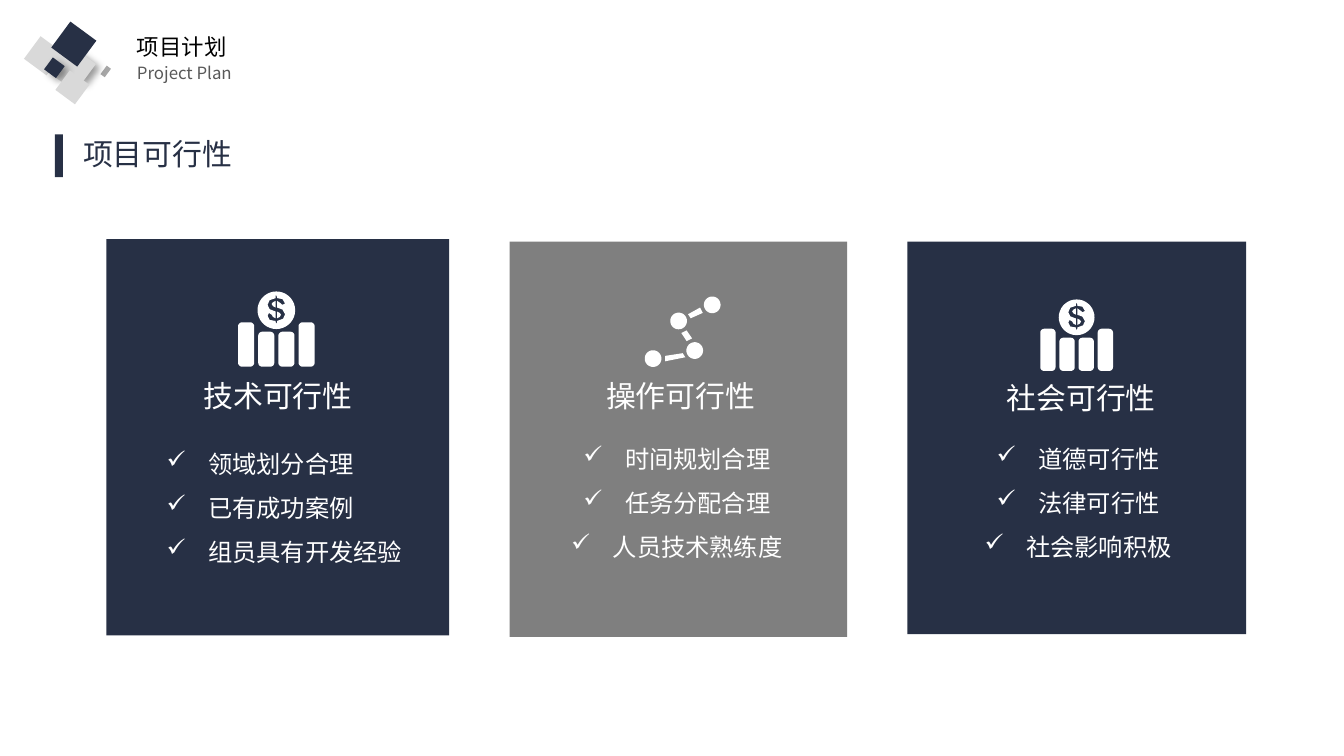
"""Build the project feasibility slide with three cards."""
import math

import pptx
import pptx.dml.color
import pptx.enum.shapes
import pptx.enum.text
import pptx.oxml
import pptx.oxml.ns
import pptx.util

Cm = pptx.util.Cm
Pt = pptx.util.Pt
ALIGN = pptx.enum.text.PP_ALIGN
FONT = "Noto Sans CJK SC"
COLOURS = {
    "navy": "273045", "grey": "7F7F7F", "white": "FFFFFF", "black": "000000",
    "subtitle": "595959", "pale": "D9D9D9", "silver": "A6A6A6",
}
DOLLAR = [
    [(28, 3), (28, 5), (23.5, 6.5), (22, 10), (23.5, 13.2), (28, 15), (28, 20),
     (26, 19), (25, 17.3), (23, 16), (22, 18), (23.5, 21.2), (28, 22), (28, 23),
     (28.5, 24), (29, 23), (29, 22), (33.5, 20.3), (35, 17), (33, 13.5), (29, 12),
     (29, 7), (31.5, 8.7), (33, 10), (35, 9), (33, 5.7), (29, 5), (29, 4), (28.5, 3)],
    [(29, 15), (31, 16), (32, 17.3), (31, 19), (29, 20)],
    [(28, 7), (26, 8), (25, 9.3), (26, 11), (28, 12)],
]
LINKS = [
    [(28, 42), (30, 45), (15, 48), (15, 44)],
    [(31, 25), (35, 31), (31, 33), (27, 27)],
    [(41, 8), (43, 12), (34, 16), (32, 13)],
]


def rgb(name):
    """Return the named colour."""
    return pptx.dml.color.RGBColor.from_string(COLOURS[name])


def arc(x, y, radius, start, sweep, steps):
    """Return points along a circular arc, with angles in degrees."""
    angles = [math.radians(start + sweep * i / steps) for i in range(steps + 1)]
    return [(x + radius * math.cos(a), y + radius * math.sin(a)) for a in angles]


def disc(x, y, radius):
    """Return the outline of a circle."""
    return arc(x, y, radius, 0, 360, 36)[:-1]


def rounded_bar(left, top, right, bottom, radius=3):
    """Return the outline of a bar with rounded corners."""
    corners = [(right - radius, bottom - radius), (left + radius, bottom - radius),
               (left + radius, top + radius), (right - radius, top + radius)]
    return [point for i, (x, y) in enumerate(corners)
            for point in arc(x, y, radius, 90 * i, 90, 5)]


def coin_outlines():
    """Return the outlines of a coin above four bars."""
    bars = [rounded_bar(15 * i, top, 15 * i + 12, 56)
            for i, top in enumerate([23, 30, 30, 23])]
    return bars + [disc(28.5, 14, 14)] + DOLLAR


def route_outlines():
    """Return the outlines of four linked dots."""
    return LINKS + [disc(x, y, 6.2) for x, y in [(6, 46), (37, 40), (25, 18), (50, 6)]]


def paint(shape, colour):
    """Give a shape a flat fill without line or shadow."""
    shape.fill.solid()
    shape.fill.fore_color.rgb = rgb(colour)
    shape.line.fill.background()
    shape.shadow.inherit = False


def add_icon(slide, outlines, left, top, size=1):
    """Draw all outlines as one white freeform."""
    contours = [[(x * 100, y * 100) for x, y in outline] for outline in outlines]
    builder = slide.shapes.build_freeform(*contours[0][0], scale=Cm(2.54) / 10000 * size)
    for i, contour in enumerate(contours):
        if i:
            builder.move_to(*contour[0])
        builder.add_line_segments(contour[1:], close=True)
    paint(builder.convert_to_shape(Cm(left), Cm(top)), "white")


def add_block(shapes, box, colour, rotation=0):
    """Add a flat rectangle."""
    block = shapes.add_shape(pptx.enum.shapes.MSO_SHAPE.RECTANGLE, *map(Cm, box))
    block.rotation = rotation
    paint(block, colour)
    return block


def add_shadow(block):
    """Add a soft shadow falling to the lower right."""
    effects = block._element.spPr.find(pptx.oxml.ns.qn("a:effectLst"))
    effects.append(pptx.oxml.parse_xml(
        f'<a:outerShdw {pptx.oxml.ns.nsdecls("a")} blurRad="{Pt(4)}" dist="{Pt(3)}" '
        f'dir="2700000" algn="tl" rotWithShape="0"><a:srgbClr val="{COLOURS["black"]}">'
        '<a:alpha val="40000"/></a:srgbClr></a:outerShdw>'))


def add_bullet(paragraph):
    """Give a paragraph a hanging tick mark."""
    paragraph.line_spacing = 1.5
    properties = paragraph._p.get_or_add_pPr()
    properties.set("marL", str(Cm(0.79)))
    properties.set("indent", str(-Cm(0.79)))
    bullet = pptx.oxml.ns.nsdecls("a")
    properties.append(pptx.oxml.parse_xml(f'<a:buChar {bullet} char="✓"/>'))


def add_text(slide, box, lines, size, colour, align=ALIGN.LEFT, ticked=False):
    """Add a text box with one paragraph per line."""
    frame = slide.shapes.add_textbox(*map(Cm, box)).text_frame
    frame.word_wrap = ticked
    for i, line in enumerate(lines):
        paragraph = frame.add_paragraph() if i else frame.paragraphs[0]
        paragraph.alignment = align
        if ticked:
            add_bullet(paragraph)
        run = paragraph.add_run()
        run.text = line
        run.font.size = Pt(size)
        run.font.name = FONT
        run.font.color.rgb = rgb(colour)
        run._r.get_or_add_rPr().append(pptx.oxml.parse_xml(
            f'<a:ea {pptx.oxml.ns.nsdecls("a")} typeface="{FONT}"/>'))


def add_ornament(slide):
    """Add the group of tilted squares in the corner."""
    ornament = slide.shapes.add_group_shape()
    for left, top, width, height, colour, shadowed in [
        (1.9, 1.3, 0.2, 0.1, "silver", False),
        (0.56, 0.79, 0.53, 0.53, "pale", False),
        (1.3, 1.04, 0.43, 0.43, "pale", True),
        (1.12, 0.97, 0.28, 0.28, "pale", False),
        (0.94, 1.02, 0.48, 0.48, "pale", False),
        (0.89, 1.14, 0.28, 0.28, "navy", True),
        (1.09, 0.53, 0.61, 0.61, "navy", False),
        (1.14, 1.42, 0.46, 0.46, "pale", False),
    ]:
        square = add_block(ornament.shapes, (left, top, width, height), colour, 306.4)
        if shadowed:
            add_shadow(square)


def add_card(slide, panel, colour, icon, heading, heading_box, points, points_box, align):
    """Add a panel with its icon, heading and ticked points."""
    add_block(slide.shapes, panel, colour)
    add_icon(slide, *icon)
    add_text(slide, heading_box, [heading], 16, "white", ALIGN.CENTER)
    add_text(slide, points_box, points, 13, "white", align, ticked=True)


def main():
    """Build and save the slide."""
    deck = pptx.Presentation()
    deck.slide_width, deck.slide_height = Cm(25.4), Cm(14.29)
    slide = deck.slides.add_slide(deck.slide_layouts[6])

    add_ornament(slide)
    add_text(slide, (2.34, 0.51, 2.21, 0.76), ["项目计划"], 12, "black")
    add_text(slide, (2.34, 1.07, 2.31, 0.64), ["Project Plan"], 9, "subtitle")
    add_block(slide.shapes, (1.04, 2.54, 0.15, 0.81), "navy")
    add_text(slide, (1.32, 2.44, 3.33, 0.94), ["项目可行性"], 16, "navy")

    add_card(slide, (2.01, 4.52, 6.48, 7.49), "navy", (coin_outlines(), 4.5, 5.51),
             "技术可行性", (3.3, 7.01, 3.91, 0.99),
             ["领域划分合理", "已有成功案例", "组员具有开发经验"],
             (2.9, 8.1, 5.33, 2.87), ALIGN.LEFT)
    add_card(slide, (9.63, 4.57, 6.38, 7.47), "grey", (route_outlines(), 12.19, 5.61),
             "操作可行性", (11, 7.01, 3.73, 0.99),
             ["时间规划合理", "任务分配合理", "人员技术熟练度"],
             (9.63, 8, 6.32, 2.87), ALIGN.CENTER)
    add_card(slide, (17.15, 4.57, 6.4, 7.42), "navy", (coin_outlines(), 19.66, 5.66, 0.95),
             "社会可行性", (18.57, 7.06, 3.73, 0.97),
             ["道德可行性", "法律可行性", "社会影响积极"],
             (17.2, 8, 6.35, 2.87), ALIGN.CENTER)
    deck.save("out.pptx")


if __name__ == "__main__":
    main()
